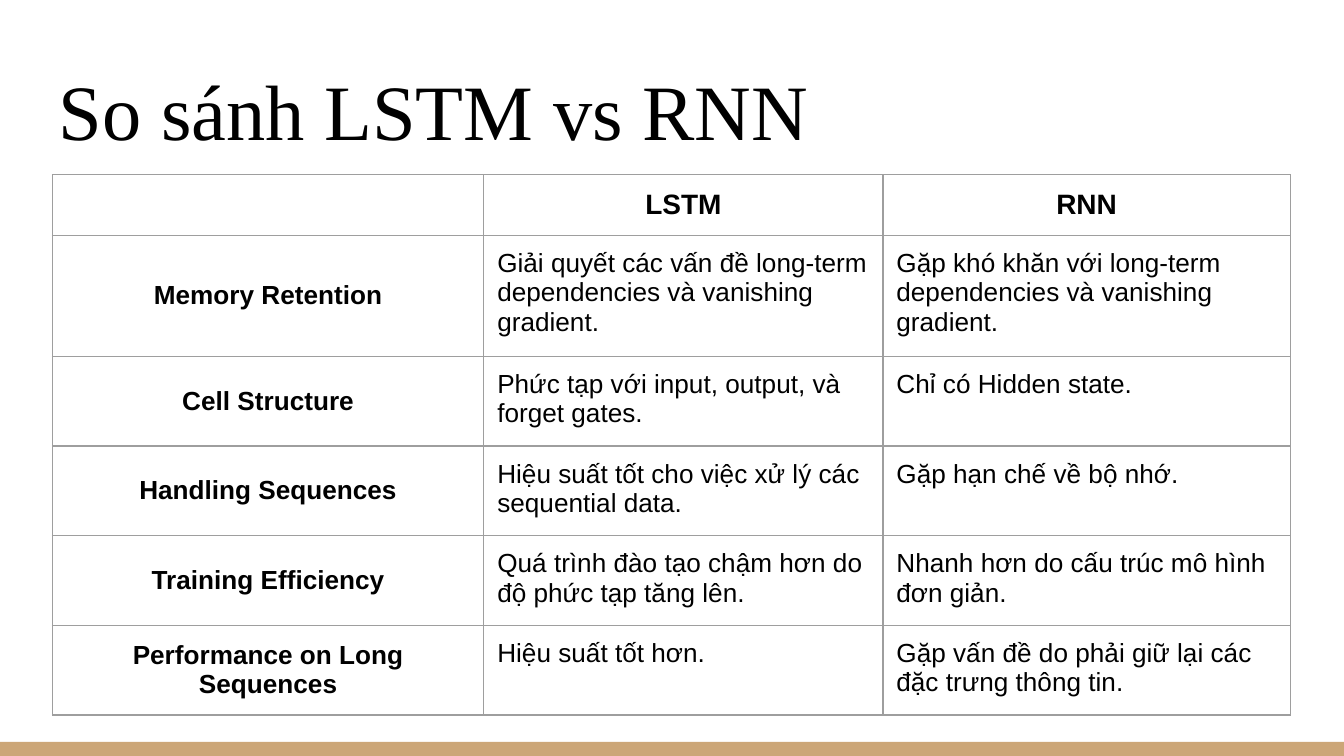
from lxml import etree
from pptx import Presentation
from pptx.dml.color import RGBColor
from pptx.enum import shapes, text
from pptx.oxml import ns
from pptx.util import Inches, Pt

BLACK = RGBColor(0x00, 0x00, 0x00)
TAN = RGBColor(0xCC, 0xA6, 0x77)
GREY = RGBColor(0x9E, 0x9E, 0x9E)

SLIDE_WIDTH = 10
SLIDE_HEIGHT = SLIDE_WIDTH * 9 / 16
MARGIN = 0.1
COLUMN_WIDTHS = [3.21, 2.97, 3.03]
ROW_HEIGHTS = [0.45] + [0.42] * 5
COMPARISON = [
    ("", "LSTM", "RNN"),
    ("Memory Retention",
     "Giải quyết các vấn đề long-term dependencies và vanishing gradient.",
     "Gặp khó khăn với long-term dependencies và vanishing gradient."),
    ("Cell Structure",
     "Phức tạp với input, output, và forget gates.",
     "Chỉ có Hidden state."),
    ("Handling Sequences",
     "Hiệu suất tốt cho việc xử lý các sequential data.",
     "Gặp hạn chế về bộ nhớ."),
    ("Training Efficiency",
     "Quá trình đào tạo chậm hơn do độ phức tạp tăng lên.",
     "Nhanh hơn do cấu trúc mô hình đơn giản."),
    ("Performance on Long Sequences",
     "Hiệu suất tốt hơn.",
     "Gặp vấn đề do phải giữ lại các đặc trưng thông tin."),
]


def set_attributes(target, values):
    for name, value in values.items():
        setattr(target, name, value)


def set_margins(target):
    """Give a cell or text frame the same inset on every side."""
    set_attributes(target, {f"margin_{side}": Inches(MARGIN)
                            for side in ("left", "right", "top", "bottom")})


def write_text(paragraph, wording, name, size, bold=False):
    run = paragraph.add_run()
    run.text = wording
    set_attributes(run.font, {"name": name, "size": Pt(size), "bold": bold})
    run.font.color.rgb = BLACK


def add_footer_band(slide, left, top, width, height):
    band = slide.shapes.add_shape(
        shapes.MSO_SHAPE.RECTANGLE,
        Inches(left), Inches(top), Inches(width), Inches(height))
    band.shadow.inherit = False
    band.fill.solid()
    band.fill.fore_color.rgb = TAN
    band.line.fill.background()


def add_title(slide, left, top, width, height):
    box = slide.shapes.add_textbox(
        Inches(left), Inches(top), Inches(width), Inches(height))
    frame = box.text_frame
    set_attributes(frame, {"word_wrap": True,
                           "vertical_anchor": text.MSO_ANCHOR.BOTTOM})
    set_margins(frame)
    write_text(frame.paragraphs[0], "So sánh LSTM vs RNN", "Times New Roman", 42)


def add_borders(cell):
    properties = cell._tc.get_or_add_tcPr()
    for position, side in enumerate(("lnL", "lnR", "lnT", "lnB")):
        line = etree.Element(ns.qn(f"a:{side}"), w=str(Pt(0.75)))
        fill = etree.SubElement(line, ns.qn("a:solidFill"))
        etree.SubElement(fill, ns.qn("a:srgbClr"), val=str(GREY))
        properties.insert(position, line)


def fill_cell(cell, wording, is_header_row, is_heading):
    cell.fill.background()
    add_borders(cell)
    if not wording:
        return
    set_margins(cell)
    paragraph = cell.text_frame.paragraphs[0]
    if is_heading:
        cell.vertical_anchor = text.MSO_ANCHOR.MIDDLE
        paragraph.alignment = text.PP_ALIGN.CENTER
    write_text(paragraph, wording, "Arial", 15 if is_header_row else 14, is_heading)


def add_comparison_table(slide, left, top):
    """Rows start at their least height and grow to fit their text."""
    table = slide.shapes.add_table(
        len(ROW_HEIGHTS), len(COLUMN_WIDTHS), Inches(left), Inches(top),
        Inches(sum(COLUMN_WIDTHS)), Inches(sum(ROW_HEIGHTS))).table
    set_attributes(table, {"first_row": False, "horz_banding": False})
    for column, width in zip(table.columns, COLUMN_WIDTHS):
        column.width = Inches(width)
    for row_index, (row, height) in enumerate(zip(table.rows, ROW_HEIGHTS)):
        row.height = Inches(height)
        for column_index, wording in enumerate(COMPARISON[row_index]):
            fill_cell(row.cells[column_index], wording, row_index == 0,
                      row_index == 0 or column_index == 0)


def main():
    presentation = Presentation()
    set_attributes(presentation, {"slide_width": Inches(SLIDE_WIDTH),
                                  "slide_height": Inches(SLIDE_HEIGHT)})
    slide = presentation.slides.add_slide(presentation.slide_layouts[6])
    add_footer_band(slide, 0, 5.52, SLIDE_WIDTH, 0.11)
    add_title(slide, 0.34, 0.35, 9.32, 0.91)
    add_comparison_table(slide, 0.39, 1.3)
    presentation.save("out.pptx")


if __name__ == "__main__":
    main()
